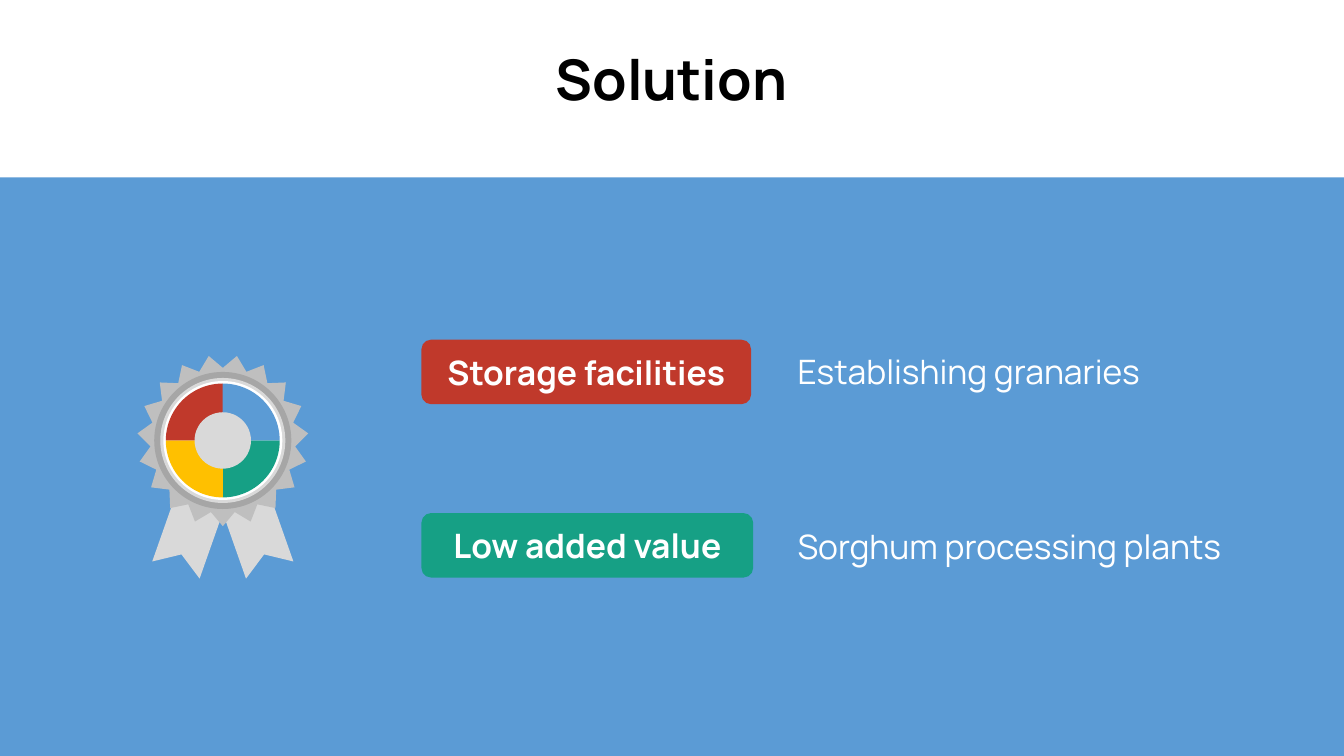
from math import cos, pi, sin

from pptx import Presentation
from pptx.dml.color import RGBColor
from pptx.enum.shapes import MSO_SHAPE
from pptx.enum.text import MSO_ANCHOR, PP_ALIGN
from pptx.util import Inches, Pt

RECTANGLE, ROUNDED = MSO_SHAPE.RECTANGLE, MSO_SHAPE.ROUNDED_RECTANGLE
OVAL, PIE = MSO_SHAPE.OVAL, MSO_SHAPE.PIE
CENTER, MIDDLE, TOP = PP_ALIGN.CENTER, MSO_ANCHOR.MIDDLE, MSO_ANCHOR.TOP

BLACK = RGBColor(0x00, 0x00, 0x00)
WHITE = RGBColor(0xFF, 0xFF, 0xFF)
BLUE = RGBColor(0x5B, 0x9B, 0xD5)
GREEN = RGBColor(0x16, 0xA0, 0x85)
RED = RGBColor(0xC0, 0x39, 0x2B)
YELLOW = RGBColor(0xFF, 0xC0, 0x00)
LIGHT_GREY = RGBColor(0xD9, 0xD9, 0xD9)
MID_GREY = RGBColor(0xBF, 0xBF, 0xBF)
DARK_GREY = RGBColor(0xA6, 0xA6, 0xA6)


def paint(shape, color):
    shape.shadow.inherit = False
    shape.fill.solid()
    shape.fill.fore_color.rgb = color
    shape.line.fill.background()


def write(shape, text, size, color, bold, anchor):
    frame = shape.text_frame
    frame.word_wrap = True
    frame.vertical_anchor = anchor
    para = frame.paragraphs[0]
    para.text = text
    font = para.runs[0].font
    font.name, font.size, font.bold = "Manrope", Pt(size), bold
    font.color.rgb = color
    return para


deck = Presentation()
deck.slide_width, deck.slide_height = Inches(13.33), Inches(7.5)
page = deck.slides.add_slide(deck.slide_layouts[5])

# Blue background panel
panel = page.shapes.add_shape(RECTANGLE, 0, Inches(1.76), Inches(13.33), Inches(5.74))
paint(panel, BLUE)
page.shapes._spTree.remove(panel._element)
page.shapes._spTree.insert(2, panel._element)

# Title
title = page.shapes.title
title.left, title.top = Inches(1.66), Inches(0.47)
title.width, title.height = Inches(10), Inches(0.69)
heading = write(title, "Solution", 40, BLACK, True, MIDDLE)
heading.alignment = CENTER
heading.line_spacing = 0.9

# Problem labels with their solutions
rows = [
    ("Storage facilities", RED, 3.37, 3.27, "Establishing granaries", 3.48),
    ("Low added value", GREEN, 5.09, 3.29, "Sorghum processing plants", 5.22),
]
for problem, color, top, width, solution, solution_top in rows:
    label = page.shapes.add_shape(ROUNDED, Inches(4.18), Inches(top), Inches(width), Inches(0.64))
    label.adjustments[0] = 0.15
    paint(label, color)
    write(label, problem, 24, WHITE, True, MIDDLE).alignment = CENTER

    box = page.shapes.add_textbox(Inches(7.91), Inches(solution_top), Inches(4.55), Inches(0.4))
    frame = box.text_frame
    frame.margin_left = frame.margin_right = frame.margin_top = frame.margin_bottom = 0
    write(box, solution, 24, WHITE, False, TOP)

# Medal: two mirrored ribbons and a rosette with 19 points
medal = page.shapes.add_group_shape()
CENTER_X, CENTER_Y = 2.21, 4.37
ribbon = [(1.51, 5.57), (1.82, 4.69), (2.29, 4.86), (1.98, 5.74), (1.8, 5.5)]
mirrored = [(2 * CENTER_X - x, y) for x, y in ribbon]
POINTS = 19
rosette = []
for step in range(2 * POINTS):
    radius = 0.72 if step % 2 else 0.85
    angle = pi / 2 + step * pi / POINTS
    rosette.append((CENTER_X + radius * cos(angle), CENTER_Y + radius * sin(angle)))

for outline, color in [(ribbon, LIGHT_GREY), (mirrored, LIGHT_GREY), (rosette, MID_GREY)]:
    corners = [(Inches(x), Inches(y)) for x, y in outline]
    builder = medal.shapes.build_freeform(*corners[0])
    builder.add_line_segments(corners[1:], close=True)
    paint(builder.convert_to_shape(), color)

# Medal face: rings, four quarters (start angle in degrees, clockwise), hub
face = [
    (OVAL, 0.68, DARK_GREY, None),
    (OVAL, 0.62, LIGHT_GREY, None),
    (OVAL, 0.59, WHITE, None),
    (PIE, 0.565, GREEN, 0),
    (PIE, 0.565, YELLOW, 90),
    (PIE, 0.565, RED, 180),
    (PIE, 0.565, BLUE, 270),
    (OVAL, 0.28, LIGHT_GREY, None),
]
for kind, radius, color, start in face:
    disc = medal.shapes.add_shape(
        kind, Inches(CENTER_X - radius), Inches(CENTER_Y - radius), Inches(2 * radius), Inches(2 * radius)
    )
    paint(disc, color)
    if kind == PIE:
        # Angle adjustments count 0.6 per degree
        disc.adjustments[0] = start * 0.6
        disc.adjustments[1] = (start + 90) % 360 * 0.6

deck.save("out.pptx")
